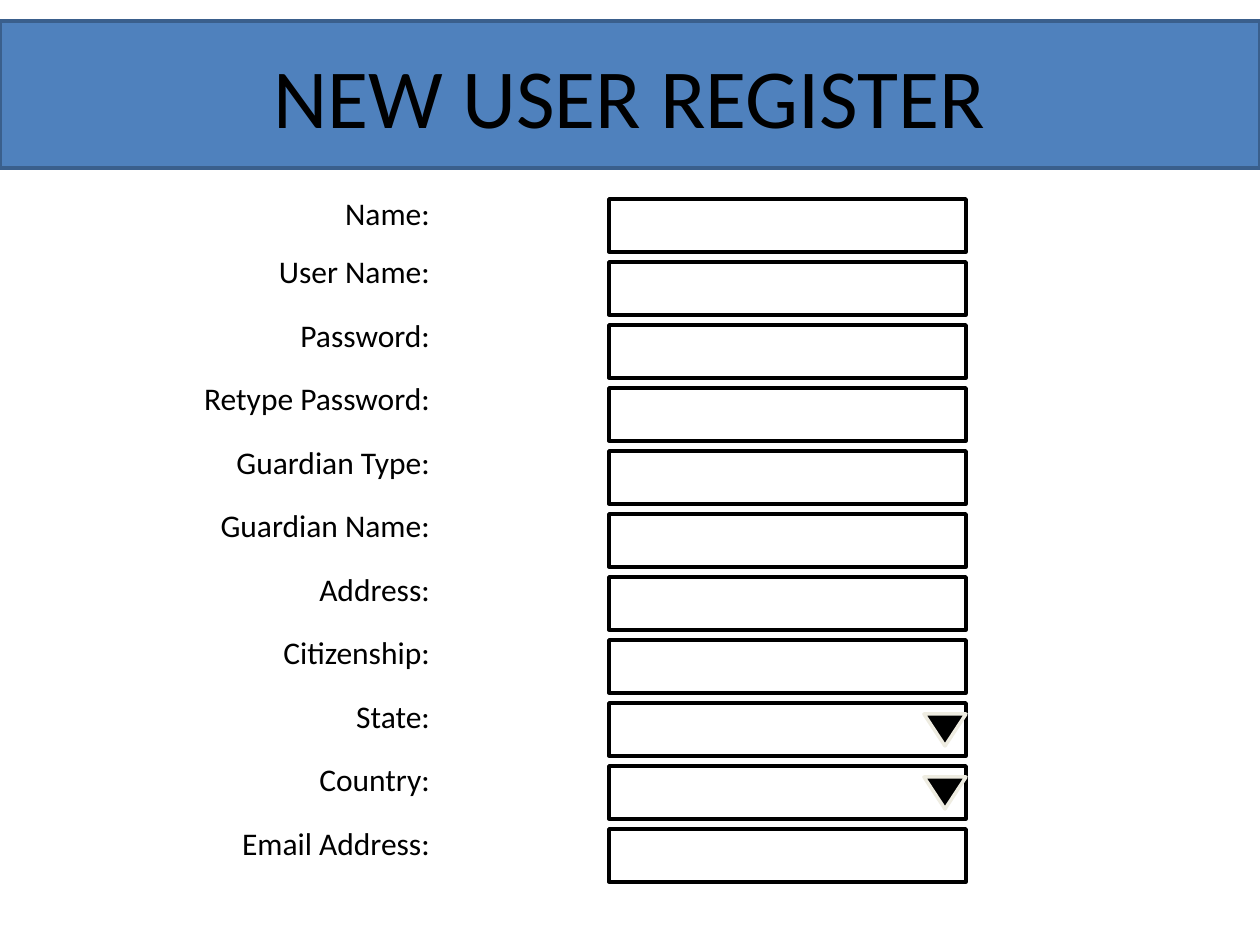
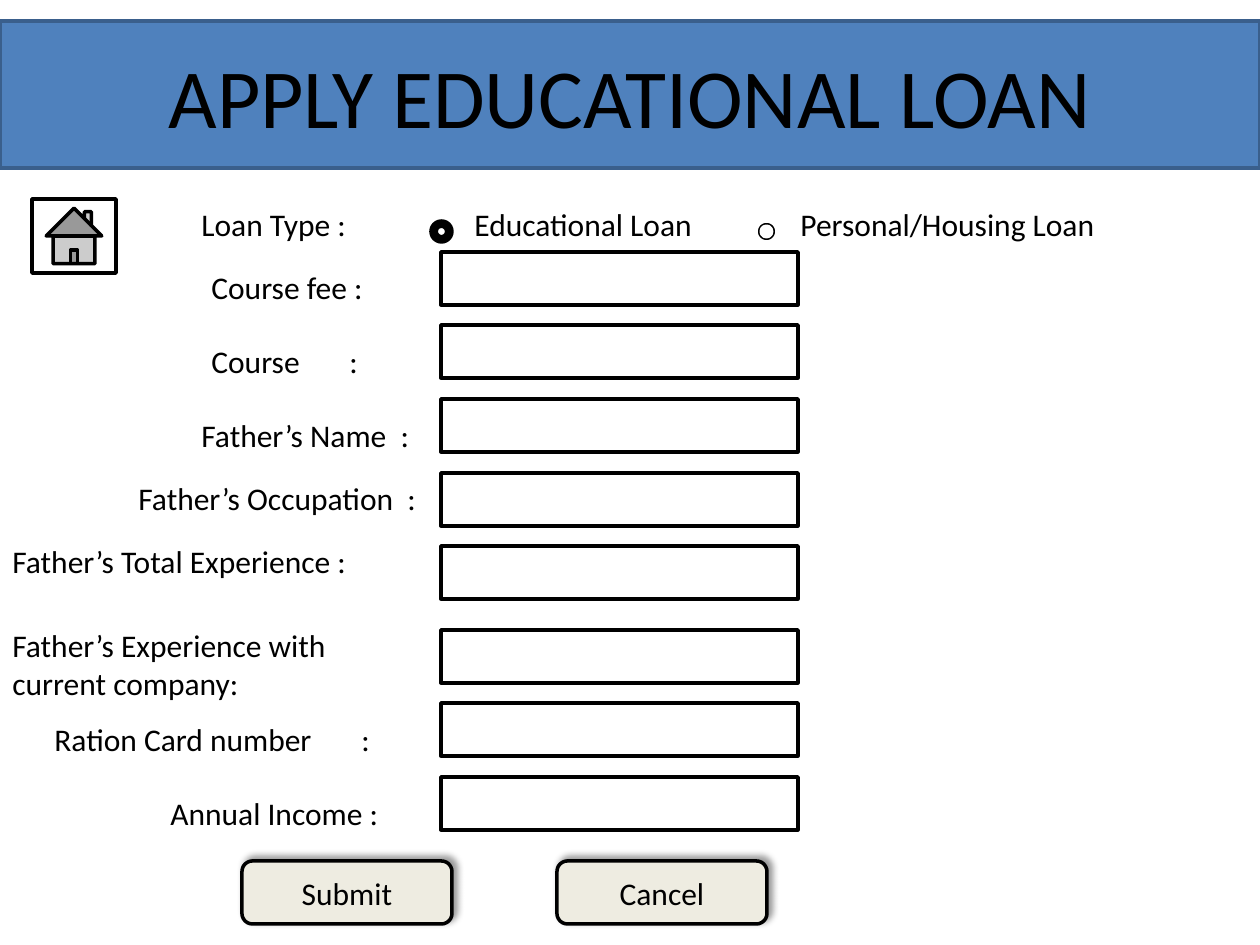
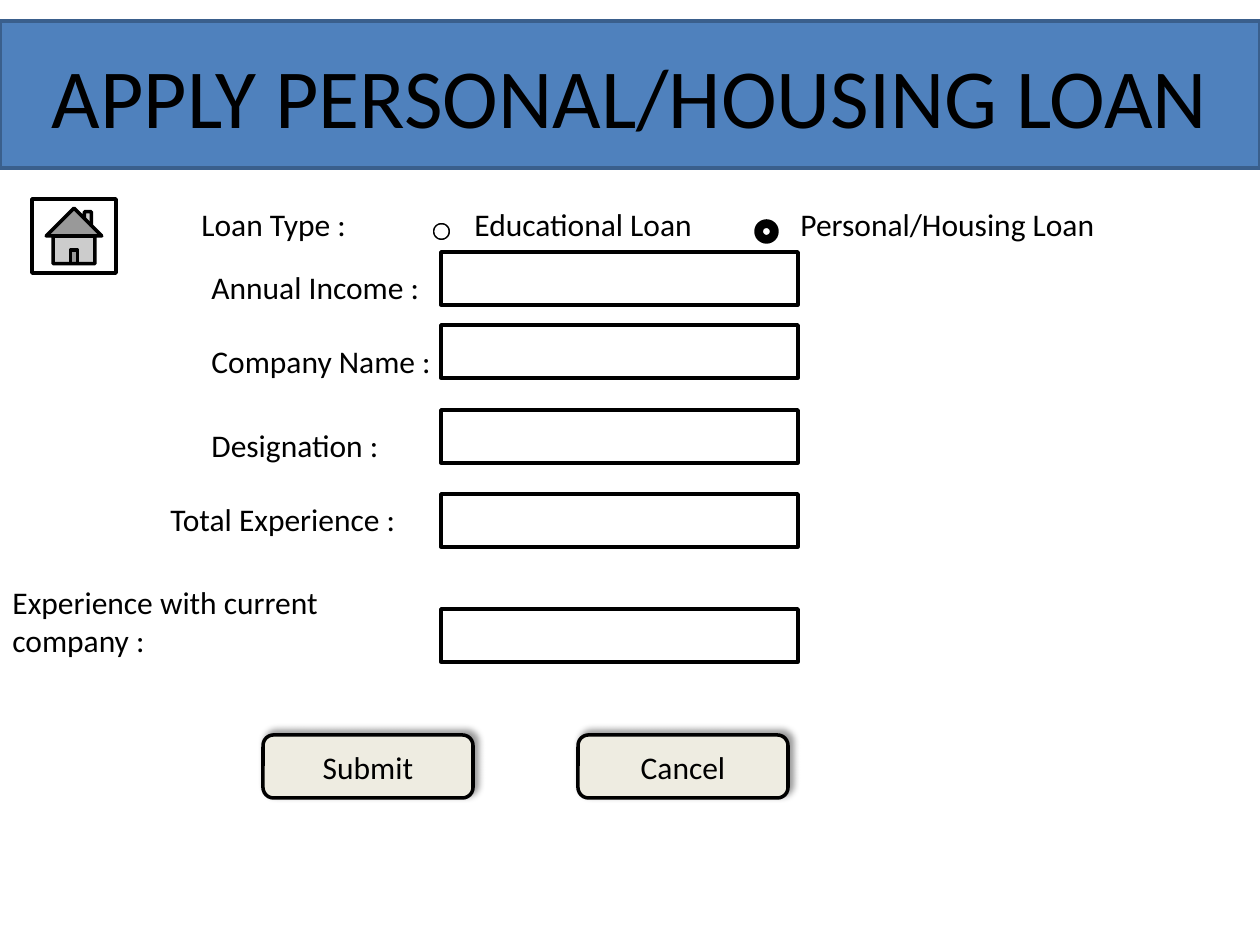
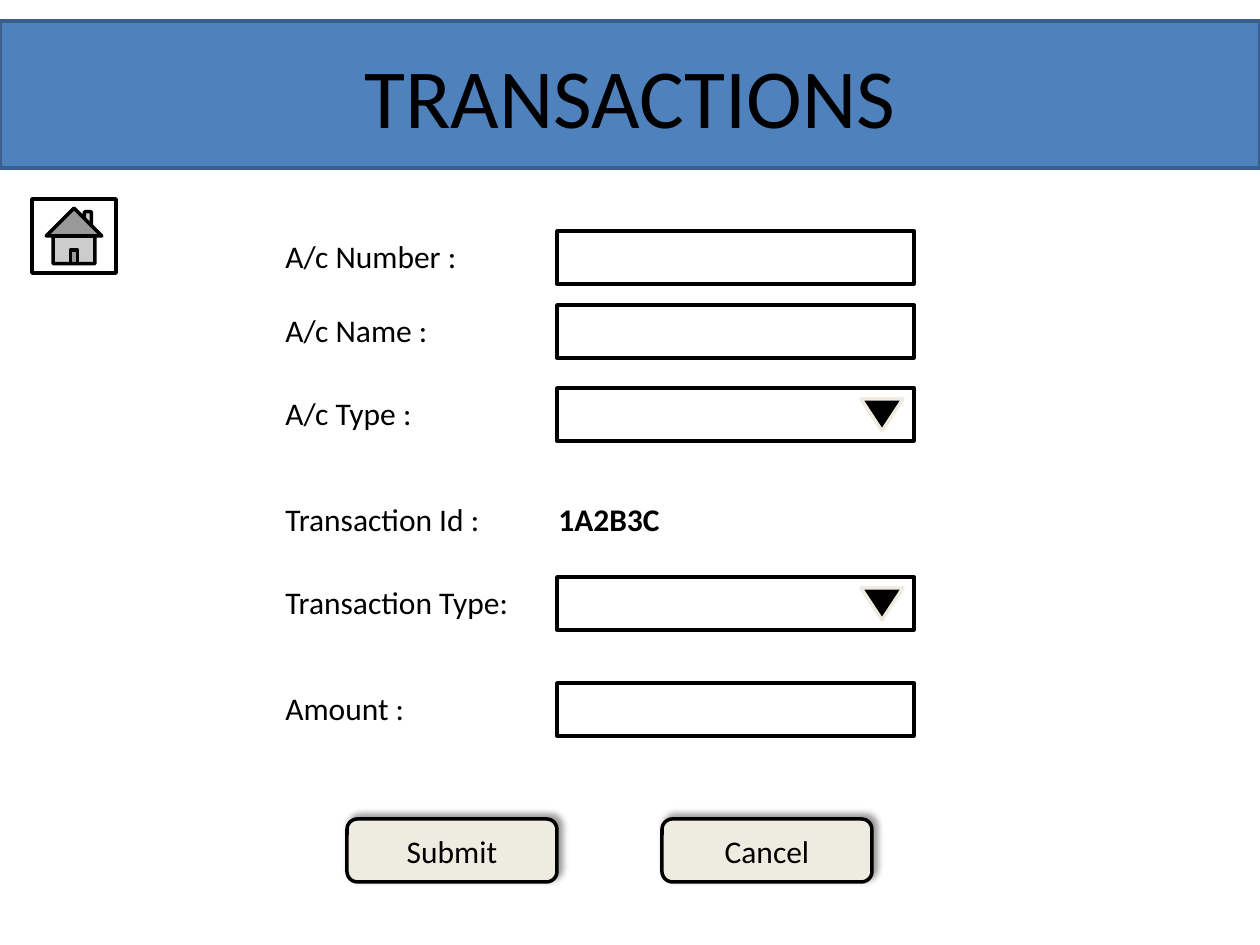
from lxml import etree
from pptx import Presentation
from pptx.dml.color import RGBColor
from pptx.enum.shapes import MSO_SHAPE
from pptx.enum.text import MSO_ANCHOR, MSO_AUTO_SIZE, PP_ALIGN
from pptx.oxml.ns import qn
from pptx.util import Emu, Pt

RECTANGLE = MSO_SHAPE.RECTANGLE
ROUNDED = MSO_SHAPE.ROUNDED_RECTANGLE
TRIANGLE = MSO_SHAPE.ISOSCELES_TRIANGLE
DONUT = MSO_SHAPE.DONUT
HOME = MSO_SHAPE.ACTION_BUTTON_HOME
MIDDLE = MSO_ANCHOR.MIDDLE
LEFT, CENTER, RIGHT = PP_ALIGN.LEFT, PP_ALIGN.CENTER, PP_ALIGN.RIGHT
FIT_SHAPE = MSO_AUTO_SIZE.SHAPE_TO_FIT_TEXT

BLACK = RGBColor(0x00, 0x00, 0x00)
WHITE = RGBColor(0xFF, 0xFF, 0xFF)
BLUE = RGBColor(0x4F, 0x81, 0xBD)
DARK_BLUE = RGBColor(0x3A, 0x5F, 0x8C)
CREAM = RGBColor(0xEE, 0xEC, 0xE1)

FONT = "Calibri"
PAGE_WIDTH, PAGE_HEIGHT = 1260, 945
FIELD_WIDTH, FIELD_HEIGHT = 357, 53
LABEL_HEIGHT = 50

# Content: the registration form
REGISTER_LABELS = ["Name: ", "User Name: ", "Password: ", "Retype Password: ",
                   "Guardian Type: ", "Guardian Name: ", "Address: ",
                   "Citizenship: ", "State: ", "Country: ", "Email Address: "]
REGISTER_DROPDOWNS = {"State: ", "Country: "}
REGISTER_ROWS = 13

# Content: the other forms. A row is label, left, top, width, field top;
# a tab in a label stops at the place given in TAB_STOPS.
LOAN_TYPES = [("Educational Loan", 431, 462, 246),
              ("Personal/Housing Loan", 756, 788, 323)]
TAB_STOPS = {"Course\t:": 138, "Ration Card number\t:": 307}
FORMS = [
    {"title": "APPLY EDUCATIONAL LOAN", "loan": "Educational Loan",
     "field_left": 441, "buttons": (242, 861),
     "rows": [("Course fee :", 199, 262, 179, 252),
              ("Course\t:", 199, 336, 190, 325),
              ("Father’s Name  :", 189, 410, 236, 399),
              ("Father’s Occupation  :", 126, 473, 306, 473),
              ("Father’s Total Experience :", 0, 536, 378, 546),
              ("Father’s Experience with current company:", 0, 620, 378, 630),
              ("Ration Card number\t:", 42, 714, 360, 703),
              ("Annual Income :", 158, 788, 236, 777)]},
    {"title": "APPLY PERSONAL/HOUSING LOAN", "loan": "Personal/Housing Loan",
     "field_left": 441, "buttons": (263, 735),
     "rows": [("Annual Income :", 199, 262, 236, 252),
              ("Company Name :", 199, 336, 247, 325),
              ("Designation :", 199, 420, 195, 410),
              ("Total Experience :", 158, 494, 253, 494),
              ("Experience with current company :", 0, 577, 420, 609)]},
    {"title": "TRANSACTIONS", "loan": None,
     "field_left": 557, "buttons": (347, 819),
     "dropdowns": {"A/c Type :", "Transaction Type:"},
     "values": [("1A2B3C", 546, 494, 127)],
     "rows": [("A/c Number :", 273, 231, 199, 231),
              ("A/c Name :", 273, 305, 169, 305),
              ("A/c Type :", 273, 388, 154, 388),
              ("Transaction Id :", 273, 494, 222, None),
              ("Transaction Type:", 273, 577, 251, 577),
              ("Amount :", 273, 683, 146, 683)]},
]


def px(length):
    return Emu(round(length * 914400 / 126))


def place(*lengths):
    return [px(length) for length in lengths]


def write(frame, text, size=18, align=LEFT, bold=False):
    para = frame.paragraphs[0]
    para.alignment = align
    span = para.add_run()
    span.text = text
    span.font.name = FONT
    span.font.size = Pt(size)
    span.font.bold = bold
    span.font.color.rgb = BLACK
    return para


def add_box(page, kind, at, fill=WHITE, line=BLACK):
    box = page.shapes.add_shape(kind, *place(*at))
    box.shadow.inherit = False
    box.fill.solid()
    box.fill.fore_color.rgb = fill
    box.line.color.rgb = line
    box.line.width = Pt(2)
    return box


def add_page(title):
    page = deck.slides.add_slide(deck.slide_layouts[6])
    band = add_box(page, RECTANGLE, (0, 21, PAGE_WIDTH, 147), BLUE, DARK_BLUE)
    band.text_frame.vertical_anchor = MIDDLE
    write(band.text_frame, title, 48, CENTER)
    return page


def add_label(page, text, left, top, width, bold=False):
    box = page.shapes.add_textbox(*place(left, top, width, LABEL_HEIGHT))
    frame = box.text_frame
    # Labels at the page edge and labels with a tab keep their width
    frame.word_wrap = left == 0 or text in TAB_STOPS
    frame.auto_size = FIT_SHAPE
    para = write(frame, text, bold=bold)
    if text in TAB_STOPS:
        properties = para._p.get_or_add_pPr()
        stops = etree.SubElement(properties, qn("a:tabLst"))
        etree.SubElement(stops, qn("a:tab"), pos=str(px(TAB_STOPS[text])), algn="l")


def add_field(page, left, top):
    add_box(page, RECTANGLE, (left, top, FIELD_WIDTH, FIELD_HEIGHT))


def add_arrow(page, left, field_top):
    arrow = add_box(page, TRIANGLE, (left, field_top + 11, 42, 32), BLACK, CREAM)
    arrow.rotation = 180


def add_button(page, text, left, top):
    button = add_box(page, ROUNDED, (left, top, 210, 63), CREAM)
    effects = button._element.spPr.find(qn("a:effectLst"))
    shadow = etree.SubElement(effects, qn("a:outerShdw"), blurRad=str(Pt(4)),
                              dist=str(Pt(3)), dir="18900000", algn="bl", rotWithShape="0")
    color = etree.SubElement(shadow, qn("a:srgbClr"), val=str(BLACK))
    etree.SubElement(color, qn("a:alpha"), val="40000")
    button.text_frame.vertical_anchor = MIDDLE
    write(button.text_frame, text, align=CENTER)


def add_label_table(page):
    first_height, total_height = 58, 820
    table = page.shapes.add_table(REGISTER_ROWS, 1,
                                  *place(189, 189, 256, total_height)).table
    table.first_row = table.horz_banding = False
    for index, row in enumerate(table.rows):
        rest = (total_height - first_height) / (REGISTER_ROWS - 1)
        row.height = px(rest if index else first_height)
        cell = row.cells[0]
        cell.fill.background()
        cell.margin_left = cell.margin_right = px(8)
        cell.margin_top, cell.margin_bottom = px(1), 0
        if index < len(REGISTER_LABELS):
            para = write(cell.text_frame, REGISTER_LABELS[index], align=RIGHT)
            para.line_spacing = 1.15


def add_register_page():
    page = add_page("NEW USER REGISTER")
    tops = [199 + 63 * index for index in range(len(REGISTER_LABELS))]
    for top in tops:
        add_field(page, 609, top)
    add_label_table(page)
    for label, top in zip(REGISTER_LABELS, tops):
        if label in REGISTER_DROPDOWNS:
            add_arrow(page, 924, top)


def add_form_page(form):
    page = add_page(form["title"])
    add_box(page, HOME, (32, 199, 84, 74))
    # Loan choice with one selected option
    if form["loan"]:
        add_label(page, "Loan Type :", 189, 199, 173)
        for name, ring_left, label_left, width in LOAN_TYPES:
            ring_line = BLACK if name == form["loan"] else WHITE
            add_box(page, DONUT, (ring_left, 221, 21, 21), BLACK, ring_line)
            add_label(page, name, label_left, 199, width)
    # Labels and their fields
    for text, left, top, width, field_top in form["rows"]:
        if field_top is not None:
            add_field(page, form["field_left"], field_top)
        add_label(page, text, left, top, width)
        if text in form.get("dropdowns", ()):
            add_arrow(page, form["field_left"] + 304, field_top)
    for value in form.get("values", ()):
        add_label(page, *value, bold=True)
    # Buttons
    left, top = form["buttons"]
    for index, text in enumerate(("Submit", "Cancel")):
        add_button(page, text, left + 315 * index, top)


deck = Presentation()
deck.slide_width, deck.slide_height = place(PAGE_WIDTH, PAGE_HEIGHT)
add_register_page()
for form in FORMS:
    add_form_page(form)
deck.save("out.pptx")
